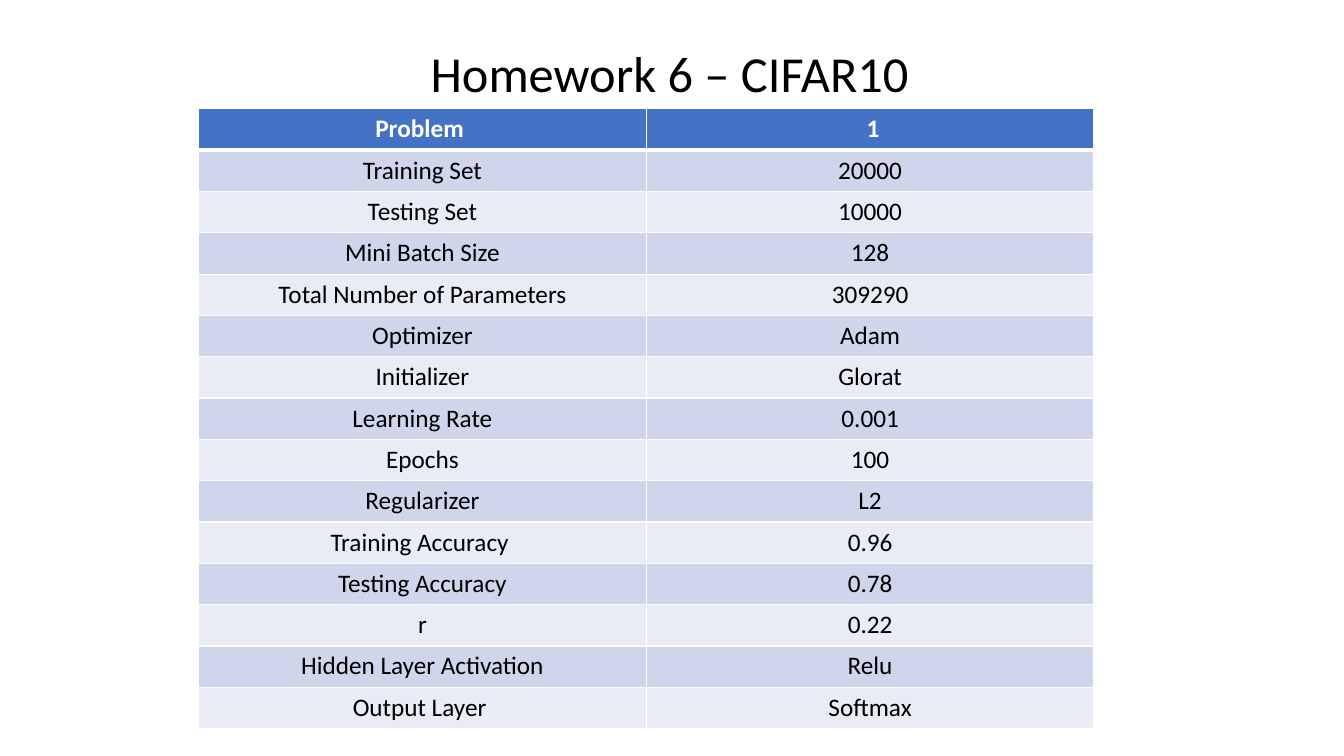
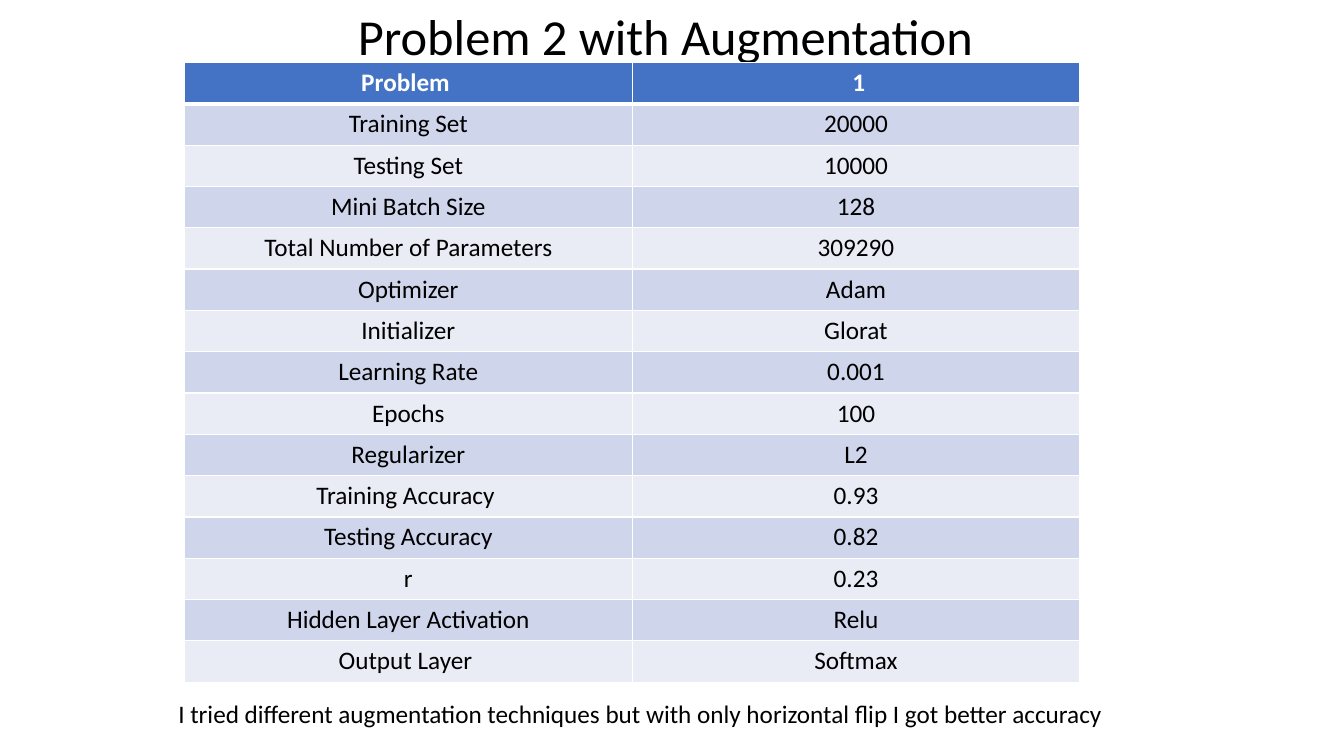
from lxml import etree
from pptx import Presentation
from pptx.dml.color import RGBColor
from pptx.enum.text import MSO_ANCHOR, MSO_AUTO_SIZE, PP_ALIGN
from pptx.oxml import parse_xml
from pptx.oxml.ns import nsdecls
from pptx.util import Inches, Pt

LEFT, CENTER = PP_ALIGN.LEFT, PP_ALIGN.CENTER
TOP = MSO_ANCHOR.TOP
FIXED = MSO_AUTO_SIZE.NONE
FONT = "Calibri"
BLACK, WHITE = "000000", "FFFFFF"
HEAD, DARK, LIGHT = "4472C4", "CFD5EA", "E9EBF5"
COL, ROW = 4.44, 0.41
TITLE_H = 0.71

NAMES = ["Problem ", "Training Set", "Testing Set", "Mini Batch Size",
         "Total Number of Parameters", "Optimizer", "Initializer",
         "Learning Rate", "Epochs", "Regularizer", "Training Accuracy ",
         "Testing Accuracy", "r", "Hidden Layer Activation", "Output Layer "]
SETUP = [" 1", "20000", "10000", "128", "309290", "Adam", "Glorat",
         "0.001", "100", "L2"]
LAYERS = ["Relu", "Softmax"]

# title, its place (left, top, width), table corner, scores, note
PAGES = [
    ("Homework 6 – CIFAR10", (4.17, 0.37, 5.21), (1.97, 1.08),
     ["0.96", "0.78", "0.22"], None),
    ("Problem 2 with Augmentation", (3.45, 0, 7.91), (1.83, 0.62),
     ["0.93", "0.82", "0.23"],
     "I tried different augmentation techniques but with only "
     "horizontal flip I got better accuracy"),
]


def write(frame, text, size=18, color=BLACK, bold=False, align=LEFT):
    """Put one formatted line of text in a text frame."""
    frame.word_wrap = True
    para = frame.paragraphs[0]
    para.alignment = align
    run = para.add_run()
    run.text = text
    font = run.font
    font.name, font.size, font.bold = FONT, Pt(size), bold
    font.color.rgb = RGBColor.from_string(color)


def edge(cell, side, width):
    """Draw a white border on one side (L, R, T or B) of a cell."""
    line = parse_xml(f'<a:ln{side} {nsdecls("a")} w="{Pt(width)}"/>')
    fill = etree.SubElement(line, line.tag.replace("ln" + side, "solidFill"))
    tint = etree.SubElement(fill, fill.tag.replace("solidFill", "srgbClr"))
    tint.set("val", WHITE)
    cell._tc.get_or_add_tcPr().append(line)


deck = Presentation()
deck.slide_width, deck.slide_height = Inches(13.33), Inches(7.5)

for name, (x, y, width), corner, scores, note in PAGES:
    slide = deck.slides.add_slide(deck.slide_layouts[5])

    title = slide.shapes.title
    title.left, title.top = Inches(x), Inches(y)
    title.width, title.height = Inches(width), Inches(TITLE_H)
    title.text_frame.auto_size = FIXED
    title.text_frame.vertical_anchor = TOP
    write(title.text_frame, name, size=36)

    rows = list(zip(NAMES, SETUP + scores + LAYERS))
    left, top = corner
    table = slide.shapes.add_table(
        len(rows), 2, Inches(left), Inches(top),
        Inches(2 * COL), Inches(ROW * len(rows))).table
    for col in table.columns:
        col.width = Inches(COL)
    for i, texts in enumerate(rows):
        table.rows[i].height = Inches(ROW)
        first = i == 0
        shade = HEAD if first else (LIGHT, DARK)[i % 2]
        for j, text in enumerate(texts):
            cell = table.cell(i, j)
            for side in "LRTB":
                thick = (first and side == "B") or (i == 1 and side == "T")
                edge(cell, side, 3 if thick else 1)
            cell.fill.solid()
            cell.fill.fore_color.rgb = RGBColor.from_string(shade)
            write(cell.text_frame, text, bold=first, align=CENTER,
                  color=WHITE if first else BLACK)

    if note:
        box = slide.shapes.add_textbox(
            Inches(1.67), Inches(6.88), Inches(9.49), Inches(0.4))
        write(box.text_frame, note)

deck.save("out.pptx")
